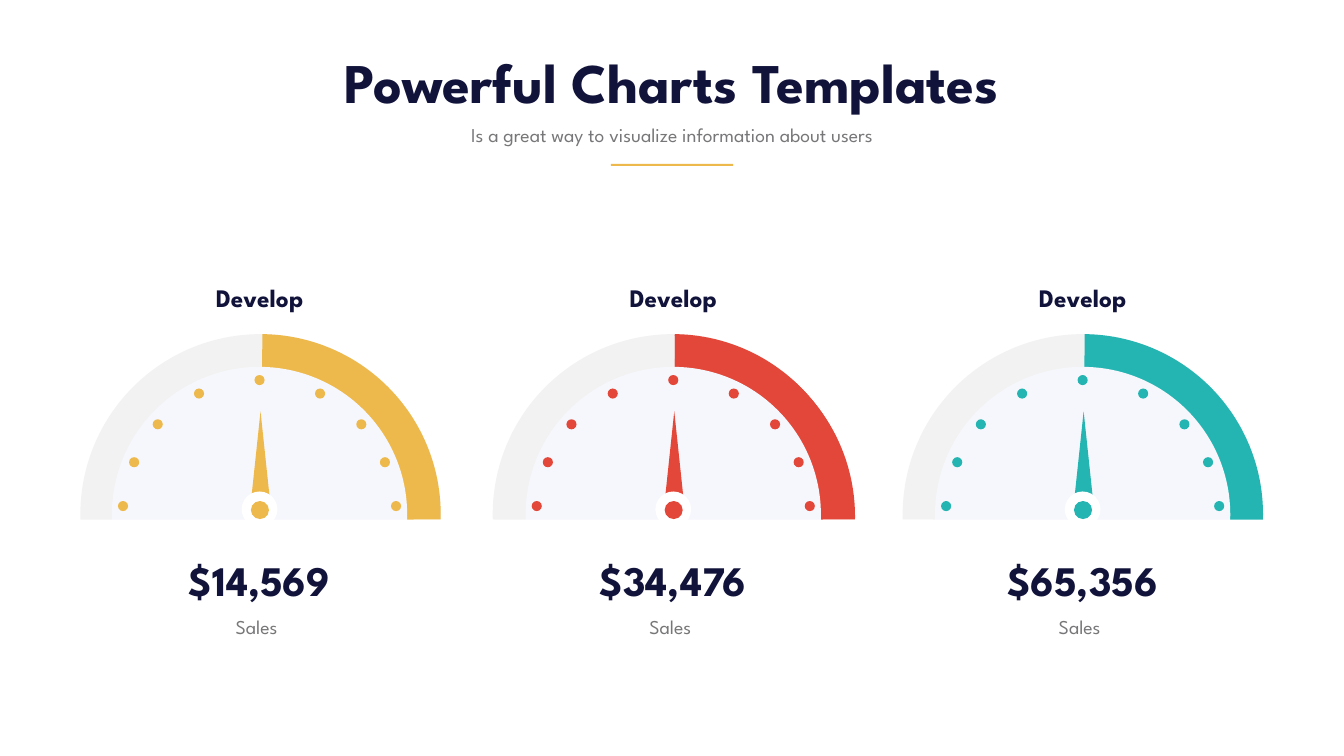
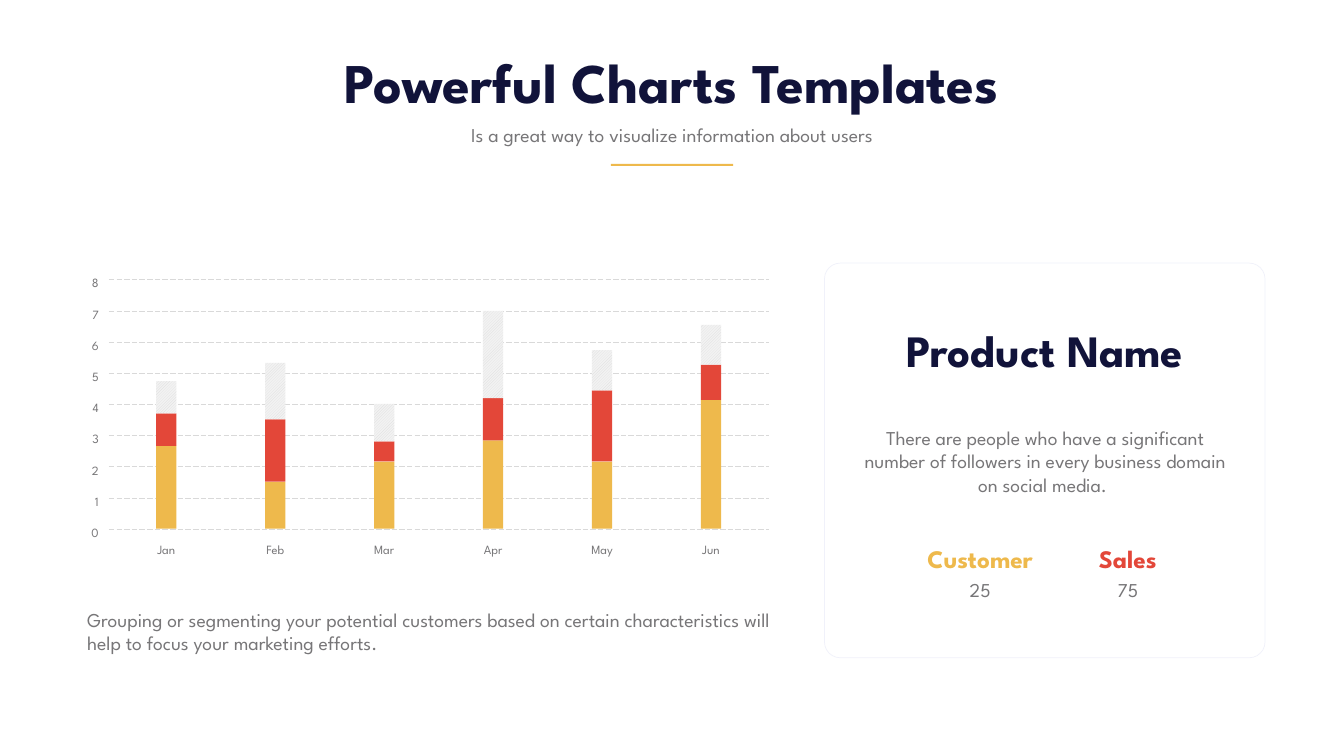
from dataclasses import dataclass

from lxml.etree import SubElement
from pptx import Presentation
from pptx.chart.chart import Chart
from pptx.chart.data import CategoryChartData
from pptx.dml.color import RGBColor
from pptx.enum.chart import XL_CHART_TYPE
from pptx.enum.dml import MSO_LINE, MSO_PATTERN
from pptx.enum.shapes import MSO_CONNECTOR, MSO_SHAPE
from pptx.enum.text import MSO_ANCHOR, MSO_AUTO_SIZE, PP_ALIGN
from pptx.oxml.ns import qn
from pptx.presentation import Presentation as Deck
from pptx.shapes.autoshape import Shape
from pptx.slide import Slide
from pptx.util import Cm, Pt

FONT = "League Spartan"
NAVY, GRAY, WHITE = "11133A", "777678", "FFFFFF"
GOLD, RED, TEAL = "EEB94C", "E34739", "24B5B2"
TRACK, FACE, BORDER, GRID = "F2F2F2", "F6F7FC", "F0F1FA", "D9D9D9"


@dataclass(frozen=True)
class Frame:
    left: float
    top: float
    width: float
    height: float

    def lengths(self) -> tuple[Cm, Cm, Cm, Cm]:
        return Cm(self.left), Cm(self.top), Cm(self.width), Cm(self.height)


@dataclass(frozen=True)
class TextStyle:
    size: int
    color: str = GRAY
    bold: bool = False
    align: PP_ALIGN = PP_ALIGN.CENTER
    spacing: float | None = None


@dataclass(frozen=True)
class Gauge:
    center: float
    ring_center: float
    color: str
    value: str
    share: int | None = None


@dataclass(frozen=True)
class Metric:
    left: float
    width: float
    name: str
    value: str
    color: str


@dataclass(frozen=True)
class Month:
    name: str
    customer: float
    sales: float
    rest: float


TITLE = TextStyle(80, NAVY, True)
HEADING = TextStyle(64, NAVY, True)
FIGURE = TextStyle(60, NAVY, True)
LABEL = TextStyle(36, NAVY, True)
BODY = TextStyle(28)
BODY_LEFT = TextStyle(28, align=PP_ALIGN.LEFT)
METRIC_VALUE = TextStyle(28, spacing=40.8)
MONTH_LABEL = TextStyle(18, spacing=35.6)
SCALE_LABEL = TextStyle(18, align=PP_ALIGN.RIGHT, spacing=35.6)

GAUGES = (
    Gauge(13.08, 13.13, GOLD, "$14,569"),
    Gauge(33.93, 33.91, RED, "$34,476", 32),
    Gauge(54.56, 54.57, TEAL, "$65,356"),
)
DOTS = ((0, 18.9), (3.05, 19.58), (5.13, 21.13), (6.32, 23.04), (6.88, 25.25))

METRICS = (
    Metric(45.9, 6.99, "Customer", "25", GOLD),
    Metric(54.25, 5.18, "Sales", "75", RED),
)
MONTHS = (
    Month("Jan", 4.17, 1.63, 1.63),
    Month("Feb", 2.36, 3.15, 2.84),
    Month("Mar", 3.38, 1.02, 1.88),
    Month("Apr", 4.44, 2.13, 4.4),
    Month("May", 3.38, 3.58, 2.03),
    Month("Jun", 6.48, 1.78, 2.01),
)
SCALE_MAX = 8
GRID_LEFT, GRID_RIGHT, GRID_TOP, GRID_BOTTOM = 5.49, 38.74, 14.1, 26.67
BAR_LEFT, BAR_PITCH, BAR_WIDTH, BAR_BASE = 7.87, 5.49, 1.02, 26.64


def rgb(color: str) -> RGBColor:
    return RGBColor.from_string(color)


def centered(center: float, top: float, width: float, height: float) -> Frame:
    return Frame(center - width / 2, top, width, height)


def write_text(box: Shape, text: str, style: TextStyle,
               anchor: MSO_ANCHOR = MSO_ANCHOR.TOP, inset: float | None = None) -> None:
    body = box.text_frame
    body.word_wrap = True
    body.auto_size = MSO_AUTO_SIZE.NONE
    body.vertical_anchor = anchor
    if inset is not None:
        body.margin_left = body.margin_right = Cm(inset)
        body.margin_top = body.margin_bottom = Cm(inset)
    para = body.paragraphs[0]
    para.alignment = style.align
    if style.spacing:
        para.line_spacing = Pt(style.spacing)
    span = para.add_run()
    span.text = text
    span.font.name = FONT
    span.font.size = Pt(style.size)
    span.font.bold = style.bold
    span.font.color.rgb = rgb(style.color)


def add_text(page: Slide, frame: Frame, text: str, style: TextStyle,
             anchor: MSO_ANCHOR = MSO_ANCHOR.TOP, inset: float | None = None) -> None:
    write_text(page.shapes.add_textbox(*frame.lengths()), text, style, anchor, inset)


def add_figure(page: Slide, kind: MSO_SHAPE, frame: Frame, color: str,
               line: str | None = None) -> Shape:
    shape = page.shapes.add_shape(kind, *frame.lengths())
    shape.shadow.inherit = False
    shape.fill.solid()
    shape.fill.fore_color.rgb = rgb(color)
    if line:
        shape.line.color.rgb = rgb(line)
        shape.line.width = Pt(1)
    else:
        shape.line.fill.background()
    return shape


def add_page(deck: Deck) -> Slide:
    page = deck.slides.add_slide(deck.slide_layouts[5])
    title = page.shapes.title
    title.left, title.top, title.width, title.height = Frame(9.86, 2.29, 48, 3.68).lengths()
    write_text(title, "Powerful Charts Templates", TITLE)
    add_text(page, Frame(21.72, 6.05, 24.28, 1.45),
             "Is a great way to visualize information about users", BODY)
    add_figure(page, MSO_SHAPE.RECTANGLE, Frame(30.78, 8.26, 6.17, 0.1), GOLD)
    return page


def fill_plot_area(chart: Chart) -> None:
    area = chart._chartSpace.chart.plotArea
    for old in area.findall(qn("c:layout")):
        area.remove(old)
    layout = SubElement(area, qn("c:layout"))
    area.insert(0, layout)
    manual = SubElement(layout, qn("c:manualLayout"))
    settings = {"layoutTarget": "inner", "xMode": "edge", "yMode": "edge",
                "x": 0.01, "y": 0.01, "w": 0.99, "h": 0.99}
    for name, value in settings.items():
        SubElement(manual, qn(f"c:{name}")).set("val", str(value))


def add_share_chart(page: Slide, gauge: Gauge) -> None:
    data = CategoryChartData()
    data.categories = ["1", "2"]
    data.add_series("Series 1", (gauge.share, 100 - gauge.share))
    frame = centered(gauge.ring_center, 16.76, 18.36, 18.36)
    chart = page.shapes.add_chart(XL_CHART_TYPE.PIE, *frame.lengths(), data).chart
    chart.has_title = False
    chart.has_legend = False
    chart.font.name = "Calibri"
    chart.font.size = Pt(10)
    chart.font.color.rgb = rgb(GRAY)
    fill_plot_area(chart)
    for index, color in enumerate((gauge.color, TRACK)):
        slice_format = chart.plots[0].series[0].points[index].format
        slice_format.fill.solid()
        slice_format.fill.fore_color.rgb = rgb(color)
        slice_format.line.fill.background()


def add_ring(page: Slide, gauge: Gauge) -> None:
    ring = centered(gauge.ring_center, 16.84, 18.16, 18.16)
    add_figure(page, MSO_SHAPE.OVAL, ring, TRACK)
    arc = add_figure(page, MSO_SHAPE.PIE, ring, gauge.color)
    for index, degrees in enumerate((270.6, 155)):
        arc.adjustments[index] = degrees * 0.6


def add_dial(page: Slide, gauge: Gauge) -> None:
    center, color = gauge.center, gauge.color
    add_text(page, centered(center, 14.1, 11.05, 1.8), "Develop", LABEL)
    if gauge.share:
        add_share_chart(page, gauge)
    add_figure(page, MSO_SHAPE.OVAL, centered(center, 18.49, 14.88, 14.88), FACE)
    add_figure(page, MSO_SHAPE.RECTANGLE, centered(center, 26.19, 26.16, 11.58), WHITE)
    for offset, top in DOTS:
        for side in sorted({-offset, offset}):
            add_figure(page, MSO_SHAPE.OVAL, centered(center + side, top, 0.51, 0.51), color)
    add_figure(page, MSO_SHAPE.ISOSCELES_TRIANGLE, centered(center + 0.05, 20.73, 0.91, 4.29), color)
    add_figure(page, MSO_SHAPE.OVAL, centered(center + 0.05, 24.54, 0.91, 0.97), color)
    add_figure(page, MSO_SHAPE.OVAL, centered(center, 24.77, 1.8, 1.8), WHITE)
    add_figure(page, MSO_SHAPE.OVAL, centered(center + 0.02, 25.25, 0.91, 0.91), color)
    add_text(page, centered(center, 27.79, 13.67, 2.84), gauge.value, FIGURE,
             MSO_ANCHOR.MIDDLE, 0.15)
    add_text(page, centered(center - 0.15, 30.84, 9.12, 1.47), "Sales", BODY,
             MSO_ANCHOR.MIDDLE, 0.15)


def build_gauges(deck: Deck) -> None:
    page = add_page(deck)
    for gauge in GAUGES:
        add_ring(page, gauge)
    for gauge in GAUGES:
        add_dial(page, gauge)


def add_scale(page: Slide) -> None:
    step = (GRID_BOTTOM - GRID_TOP) / SCALE_MAX
    for value in range(SCALE_MAX, -1, -1):
        height = GRID_BOTTOM - value * step
        line = page.shapes.add_connector(MSO_CONNECTOR.STRAIGHT, Cm(GRID_LEFT), Cm(height),
                                         Cm(GRID_RIGHT), Cm(height))
        SubElement(line._element.spPr, qn("a:effectLst"))
        line.line.color.rgb = rgb(GRID)
        line.line.width = Pt(1)
        line.line.dash_style = MSO_LINE.LONG_DASH
        add_text(page, Frame(3.73, height - 0.84, 1.5, 1.37), str(value), SCALE_LABEL)


def add_month(page: Slide, month: Month, left: float) -> None:
    top = BAR_BASE
    parts = ((month.customer, GOLD), (month.sales, RED), (month.rest, TRACK))
    for height, color in parts:
        top -= height
        bar = add_figure(page, MSO_SHAPE.RECTANGLE, Frame(left, top, BAR_WIDTH, height), color)
        if color == TRACK:
            bar.fill.patterned()
            bar.fill.pattern = MSO_PATTERN.WIDE_UPWARD_DIAGONAL
            bar.fill.fore_color.rgb = rgb(GRID)
            bar.fill.back_color.rgb = rgb(TRACK)
    add_text(page, centered(left + BAR_WIDTH / 2, GRID_BOTTOM, 3.07, 1.37), month.name, MONTH_LABEL)


def build_months(deck: Deck) -> None:
    page = add_page(deck)
    card = add_figure(page, MSO_SHAPE.ROUNDED_RECTANGLE, Frame(41.55, 13.26, 22.2, 19.89),
                      WHITE, BORDER)
    card.adjustments[0] = 0.04
    add_text(page, Frame(42.95, 21.32, 19.43, 3.84),
             "There are people who have a significant number of followers "
             "in every business domain on social media. ", BODY)
    add_text(page, Frame(43.89, 16.1, 17.55, 3.02), "Product Name", HEADING,
             MSO_ANCHOR.MIDDLE, 0.15)
    for metric in METRICS:
        add_text(page, Frame(metric.left, 28.75, metric.width, 1.57), metric.value, METRIC_VALUE)
        add_text(page, Frame(metric.left, 27.33, metric.width, 1.73), metric.name,
                 TextStyle(36, metric.color, True, spacing=40.8))
    add_text(page, Frame(4.14, 30.51, 35.26, 2.64),
             "Grouping or segmenting your potential customers based on certain "
             "characteristics will help to focus your marketing efforts.", BODY_LEFT)
    add_scale(page)
    for index, month in enumerate(MONTHS):
        add_month(page, month, BAR_LEFT + index * BAR_PITCH)


def main() -> None:
    deck = Presentation()
    deck.slide_width, deck.slide_height = Cm(67.73), Cm(38.1)
    build_gauges(deck)
    build_months(deck)
    deck.save("out.pptx")


if __name__ == "__main__":
    main()
